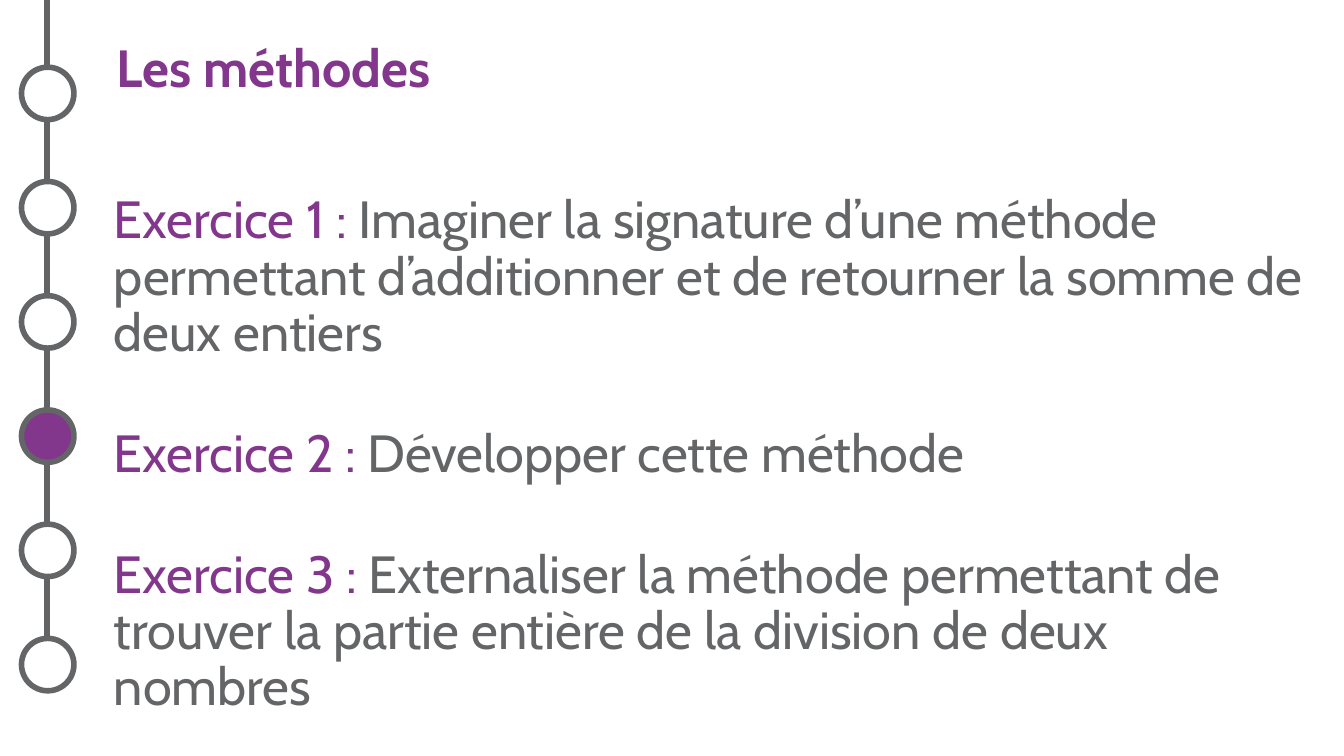
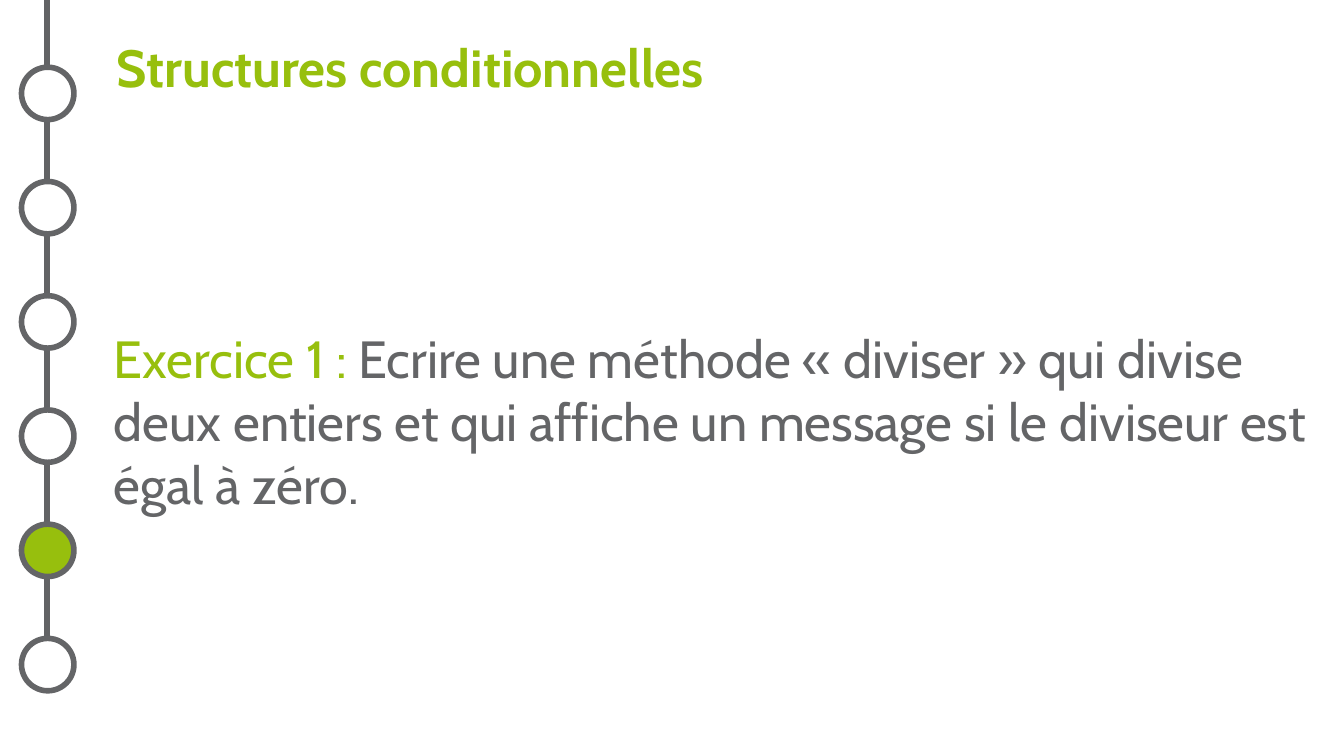
"""Build two exercise slides with a shared progress rail."""
from dataclasses import dataclass
from typing import Any

from lxml import etree
from pptx import Presentation
from pptx.dml.color import RGBColor
from pptx.enum import shapes, text
from pptx.oxml import ns
from pptx.util import Inches, Pt


@dataclass(frozen=True)
class Theme:
    """Colours, font and sizes of the deck."""
    violet: RGBColor = RGBColor(0x82, 0x36, 0x8C)
    green: RGBColor = RGBColor(0x97, 0xBF, 0x0D)
    grey: RGBColor = RGBColor(0x64, 0x65, 0x67)
    rail: RGBColor = RGBColor(0x62, 0x63, 0x65)
    white: RGBColor = RGBColor(0xFF, 0xFF, 0xFF)
    font: str = "Cabin"
    size: Pt = Pt(28)
    line: Pt = Pt(3)
    gap: Pt = Pt(34.4)


@dataclass(frozen=True)
class Rail:
    """Places of the rail and its dots."""
    axis: float = 0.35
    end: float = 5.02
    left: float = 0.16
    top: float = 0.5
    size: float = 0.39
    step: float = 0.85
    count: int = 6


@dataclass(frozen=True)
class Page:
    """Content of one slide."""
    title: str
    hue: RGBColor
    dot: int
    inset: float
    pitch: float
    tasks: tuple[str, ...]


THEME = Theme()
RAIL = Rail()
PAGES = (
    Page("Les méthodes", THEME.violet, 3, 0.55, 0.9, (
        "Imaginer la signature d’une méthode permettant d’additionner "
        "et de retourner la somme de deux entiers",
        "Développer cette méthode",
        "Externaliser la méthode permettant de trouver la partie entière "
        "de la division de deux nombres",
    )),
    Page("Structures conditionnelles", THEME.green, 4, 1.54, 1.0, (
        "Ecrire une méthode « diviser » qui divise deux entiers et qui "
        "affiche un message si le diviseur est égal à zéro.",
    )),
)


def apply(item: Any, form: dict[str, Any]) -> None:
    """Set each attribute of an item from a dict."""
    for name, value in form.items():
        setattr(item, name, value)


def add_run(para: Any, words: str, hue: RGBColor, bold: bool = False) -> None:
    """Add a run in the deck font."""
    run = para.add_run()
    run.text = words
    apply(run.font, {"name": THEME.font, "size": THEME.size, "bold": bold})
    run.font.color.rgb = hue


def add_title(slide: Any, page: Page) -> None:
    """Place and format the title."""
    title = slide.shapes.title
    apply(title, {"left": Inches(0.87), "top": Inches(0.2),
                  "width": Inches(8.76), "height": Inches(0.59)})
    frame = title.text_frame
    apply(frame, {"margin_left": 0, "margin_top": 0, "margin_right": 0,
                  "margin_bottom": 0, "word_wrap": True,
                  "auto_size": text.MSO_AUTO_SIZE.NONE,
                  "vertical_anchor": text.MSO_ANCHOR.MIDDLE})
    para = frame.paragraphs[0]
    para.alignment = text.PP_ALIGN.LEFT
    add_run(para, page.title, page.hue, True)


def add_tasks(slide: Any, page: Page) -> None:
    """Write the numbered exercises."""
    box = slide.shapes.add_textbox(
        Inches(0.75), Inches(0.89), Inches(9.1), Inches(4.52))
    frame = box.text_frame
    apply(frame, {"word_wrap": True, "margin_top": Inches(page.inset)})
    for rank, task in enumerate(page.tasks):
        para = frame.add_paragraph() if rank else frame.paragraphs[0]
        apply(para, {"line_spacing": page.pitch,
                     "space_before": THEME.gap if rank else Pt(0)})
        add_run(para, f"Exercice {rank + 1} : ", page.hue)
        add_run(para, task, THEME.grey)


def add_rail(slide: Any, page: Page) -> None:
    """Draw the rail with the current dot filled."""
    group = slide.shapes.add_group_shape()
    axis = Inches(RAIL.axis)
    line = group.shapes.add_connector(
        shapes.MSO_CONNECTOR.STRAIGHT, axis, 0, axis, Inches(RAIL.end))
    line.line.color.rgb = THEME.rail
    line.line.width = THEME.line
    etree.SubElement(line._element.spPr, ns.qn("a:effectLst"))
    side = Inches(RAIL.size)
    for rank in range(RAIL.count):
        top = Inches(RAIL.top + rank * RAIL.step)
        dot = group.shapes.add_shape(
            shapes.MSO_SHAPE.OVAL, Inches(RAIL.left), top, side, side)
        dot.shadow.inherit = False
        dot.fill.solid()
        dot.fill.fore_color.rgb = page.hue if rank == page.dot else THEME.white
        dot.line.color.rgb = THEME.grey
        dot.line.width = THEME.line


def main() -> None:
    """Build and save the deck."""
    deck = Presentation()
    apply(deck, {"slide_width": Inches(10), "slide_height": Inches(10 * 9 / 16)})
    for page in PAGES:
        slide = deck.slides.add_slide(deck.slide_layouts[5])
        add_tasks(slide, page)
        add_title(slide, page)
        add_rail(slide, page)
    deck.save("out.pptx")


if __name__ == "__main__":
    main()
